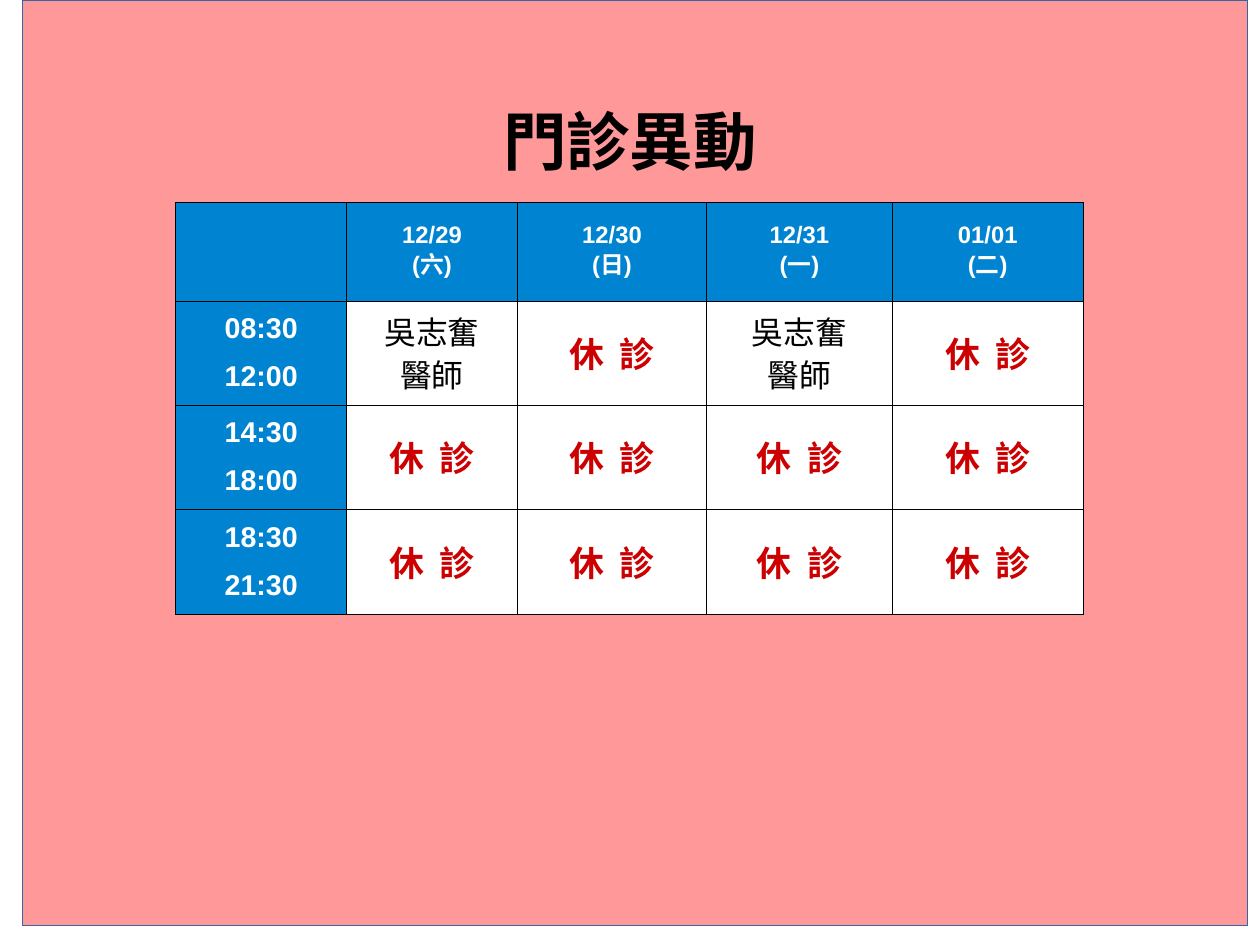
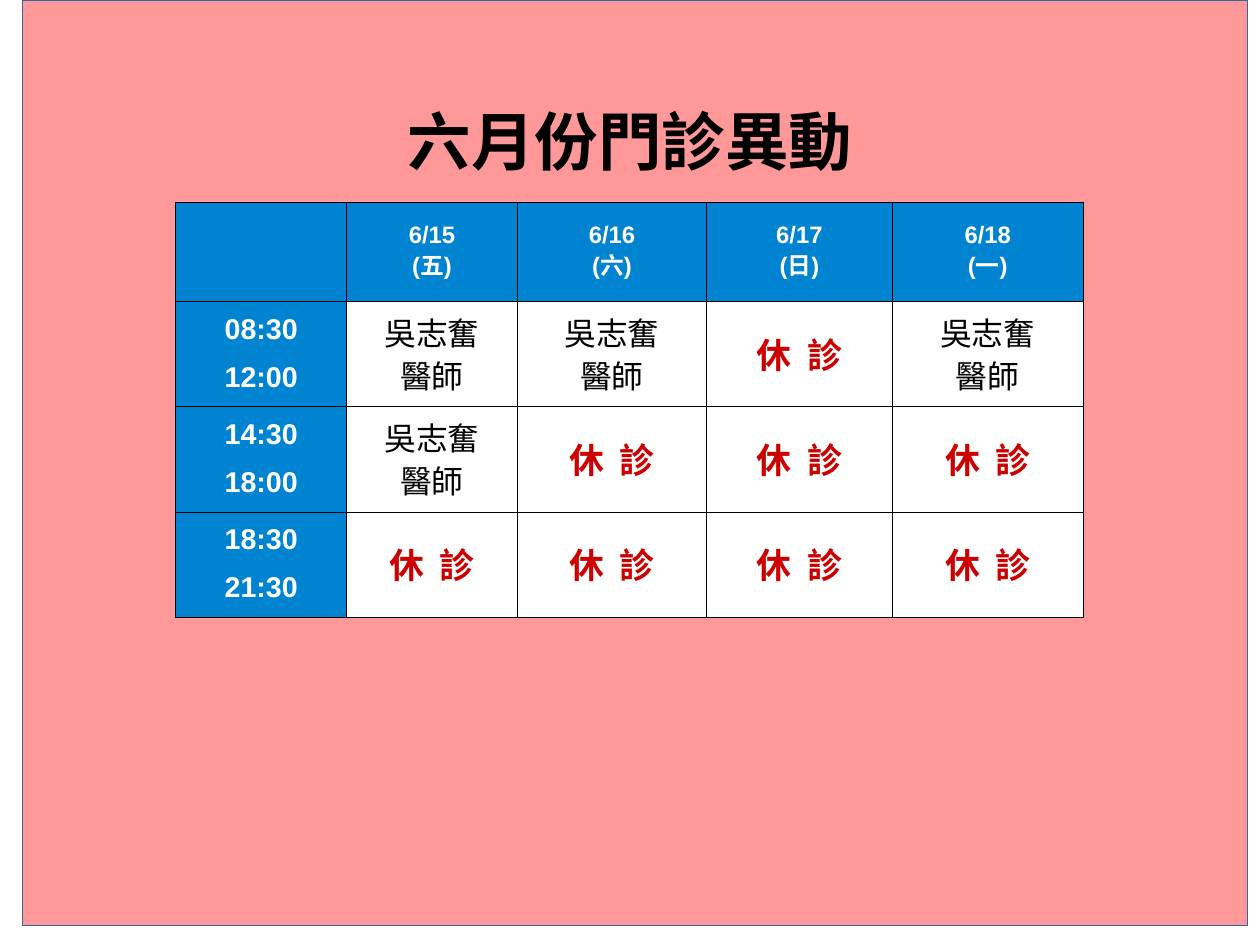
from lxml import etree
from pptx import Presentation
from pptx.dml.color import RGBColor
from pptx.enum.shapes import MSO_SHAPE
from pptx.enum.text import MSO_ANCHOR, MSO_AUTO_SIZE, PP_ALIGN
from pptx.oxml.ns import qn
from pptx.util import Cm, Pt

RECTANGLE = MSO_SHAPE.RECTANGLE
MIDDLE = MSO_ANCHOR.MIDDLE
NO_FIT = MSO_AUTO_SIZE.NONE
CENTER = PP_ALIGN.CENTER

COLORS = {
    "panel": "FF9999", "panel_line": "3465A4", "header": "0084D1",
    "white": "FFFFFF", "black": "000000", "closed": "CC0000",
}
# font, size, colour, bold, line spacing, space before and after
STYLES = {
    "title": ("Calibri", 40, "black", True, 0.93, 0),
    "date": ("Arial", 15, "white", True, 0.94, 0),
    "hours": ("Arial", 18, "white", True, 0.94, 5.7),
    "doctor": ("Arial", 20, "black", False, 0.93, 0),
    "closed": ("Calibri", 22, "closed", True, 0.93, 0),
}
DOCTOR = "吳志奮\v醫師"
CLOSED = "休  診"
HOURS = ["08:30\n12:00", "14:30\n18:00", "18:30\n21:30"]
COLUMN_WIDTHS = [3.79, 3.8, 4.2, 4.13, 4.24]
BORDER_WIDTH = Pt(0.68)

SCHEDULES = [
    {
        "title": "門診異動",
        "dates": ["12/29\n(六)", "12/30\n(日)", "12/31\n(一)", "01/01\n(二)"],
        "sessions": [
            [DOCTOR, CLOSED, DOCTOR, CLOSED],
            [CLOSED] * 4,
            [CLOSED] * 4,
        ],
        "row_heights": [2.19, 2.32, 2.32, 2.33],
    },
    {
        "title": "六月份門診異動",
        "dates": ["6/15\n(五)", "6/16\n(六)", "6/17\n(日)", "6/18\n(一)"],
        "sessions": [
            [DOCTOR, DOCTOR, CLOSED, DOCTOR],
            [DOCTOR, CLOSED, CLOSED, CLOSED],
            [CLOSED] * 4,
        ],
        "row_heights": [2.2, 2.34, 2.34, 2.34],
    },
]


def write(frame, text, style):
    """Write styled text: \\n starts a paragraph, \\v breaks a line."""
    font_name, size, color, bold, line_spacing, gap = STYLES[style]
    for number, line in enumerate(text.split("\n")):
        para = frame.add_paragraph() if number else frame.paragraphs[0]
        para.alignment = CENTER
        para.line_spacing = line_spacing
        para.space_before = para.space_after = Pt(gap)
        for part_number, part in enumerate(line.split("\v")):
            if part_number:
                para.add_line_break()
            span = para.add_run()
            span.text = part
            span.font.name = font_name
            span.font.size = Pt(size)
            span.font.bold = bold
            span.font.color.rgb = RGBColor.from_string(COLORS[color])


def format_cell(cell, color):
    """Fill a cell and draw its four borders."""
    cell.fill.solid()
    cell.fill.fore_color.rgb = RGBColor.from_string(COLORS[color])
    cell.vertical_anchor = MIDDLE
    properties = cell._tc.get_or_add_tcPr()
    for index, side in enumerate(["a:lnL", "a:lnR", "a:lnT", "a:lnB"]):
        border = etree.Element(qn(side), w=str(BORDER_WIDTH))
        fill = etree.SubElement(border, qn("a:solidFill"))
        etree.SubElement(fill, qn("a:srgbClr"), val=COLORS["black"])
        properties.insert(index, border)


deck = Presentation()
deck.slide_width, deck.slide_height = Cm(28), Cm(21)
title_only = deck.slide_layouts[5]

for schedule in SCHEDULES:
    page = deck.slides.add_slide(title_only)

    panel = page.shapes.add_shape(RECTANGLE, Cm(0.5), 0, Cm(27.23), Cm(20.57))
    panel.shadow.inherit = False
    panel.fill.solid()
    panel.fill.fore_color.rgb = RGBColor.from_string(COLORS["panel"])
    panel.line.color.rgb = RGBColor.from_string(COLORS["panel_line"])
    panel.line.width = Pt(0)

    title = page.shapes.title
    panel._element.addnext(title._element)  # the title lies above the panel
    title.left, title.top = Cm(4.4), Cm(1.9)
    title.width, title.height = Cm(19.2), Cm(2.52)
    frame = title.text_frame
    frame.auto_size = NO_FIT
    frame.word_wrap = True
    frame.vertical_anchor = MIDDLE
    frame.margin_left = frame.margin_right = frame.margin_bottom = 0
    frame.margin_top = Cm(0.1)
    write(frame, schedule["title"], "title")

    heights = schedule["row_heights"]
    table = page.shapes.add_table(
        len(heights), len(COLUMN_WIDTHS), Cm(3.91), Cm(4.5),
        Cm(sum(COLUMN_WIDTHS)), Cm(sum(heights))).table
    table.first_row = table.horz_banding = False
    for column, width in zip(table.columns, COLUMN_WIDTHS):
        column.width = Cm(width)
    for row, height in zip(table.rows, heights):
        row.height = Cm(height)

    rows = [[""] + schedule["dates"]]
    rows += [[hours] + session for hours, session in zip(HOURS, schedule["sessions"])]
    for row_number, texts in enumerate(rows):
        for column_number, text in enumerate(texts):
            if row_number == 0:
                style = "date"
            elif column_number == 0:
                style = "hours"
            else:
                style = "doctor" if text == DOCTOR else "closed"
            cell = table.cell(row_number, column_number)
            format_cell(cell, "header" if style in ("date", "hours") else "white")
            if text:
                write(cell.text_frame, text, style)

deck.save("out.pptx")
